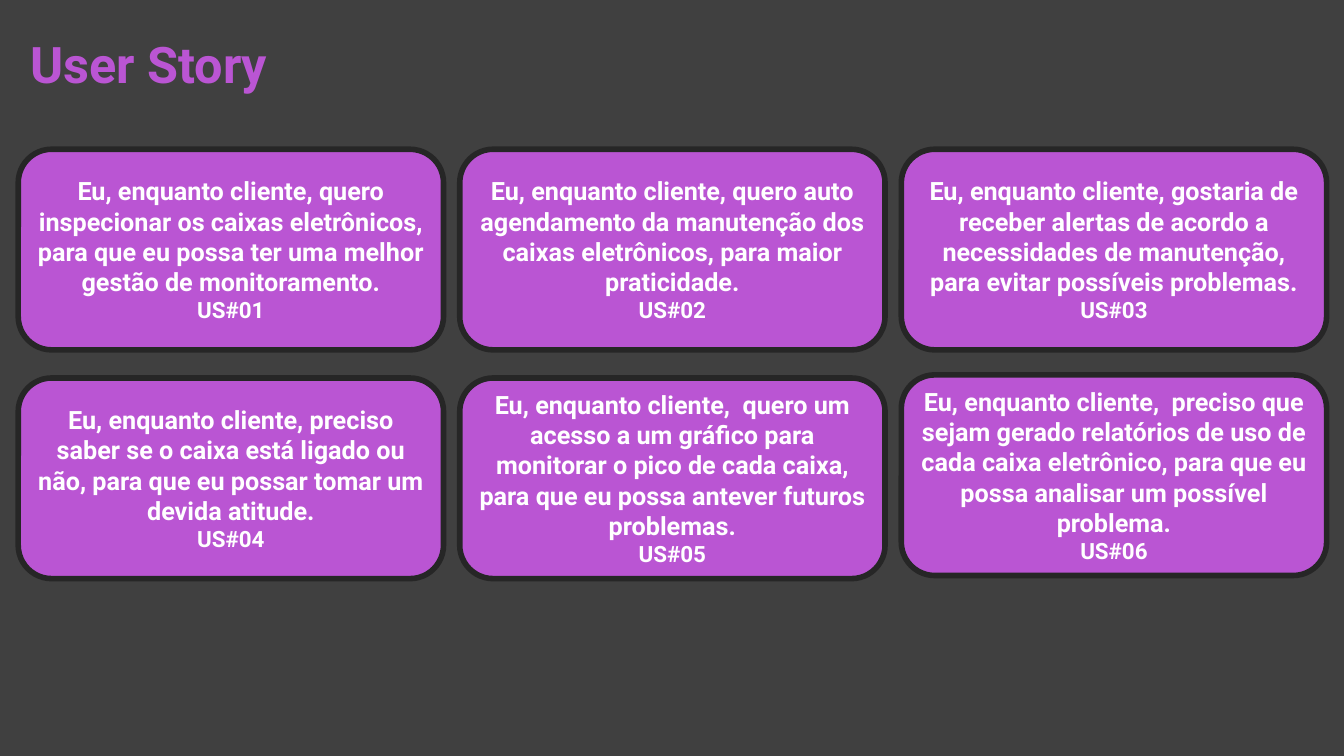
from pptx import Presentation
from pptx.dml.color import RGBColor
from pptx.enum.shapes import MSO_SHAPE
from pptx.enum.text import MSO_ANCHOR, MSO_AUTO_SIZE, PP_ALIGN
from pptx.util import Pt

ROUNDED = MSO_SHAPE.ROUNDED_RECTANGLE
TOP, MIDDLE = MSO_ANCHOR.TOP, MSO_ANCHOR.MIDDLE
LEFT, CENTER = PP_ALIGN.LEFT, PP_ALIGN.CENTER
NO_AUTOFIT = MSO_AUTO_SIZE.NONE
TITLE_ONLY = 5

STORIES = [
    "Eu, enquanto cliente, quero inspecionar os caixas eletrônicos, para que eu possa ter uma melhor gestão de monitoramento.",
    "Eu, enquanto cliente, quero auto agendamento da manutenção dos caixas eletrônicos, para maior praticidade.",
    "Eu, enquanto cliente, gostaria de receber alertas de acordo a necessidades de manutenção, para evitar possíveis problemas.",
    "Eu, enquanto cliente, preciso saber se o caixa está ligado ou não, para que eu possar tomar um devida atitude.",
    "Eu, enquanto cliente,  quero um acesso a um gráfico para monitorar o pico de cada caixa, para que eu possa antever futuros problemas.",
    "Eu, enquanto cliente,  preciso que sejam gerado relatórios de uso de cada caixa eletrônico, para que eu possa analisar um possível problema.",
]
COLUMNS = 3
CARD_LEFT, CARD_TOP = 13, 106.6
CARD_WIDTH, CARD_HEIGHT = 303.8, 143.3
COLUMN_STEP, ROW_STEP = 315.4, 163.4
LAST_CARD_LIFT = 2.2


def color(value):
    return RGBColor.from_string(value)


def write(paragraph, text, *, font, size, fill, bold=True, align=LEFT):
    paragraph.alignment = align
    run = paragraph.add_run()
    run.text = text
    run.font.name = font
    run.font.size = Pt(size)
    run.font.bold = bold
    run.font.color.rgb = color(fill)


class StorySlide:
    font = "Roboto"
    background = "404040"
    accent = "BA55D3"
    outline = "262626"
    light = "FFFFFF"

    def __init__(self, presentation):
        self.slide = presentation.slides.add_slide(presentation.slide_layouts[TITLE_ONLY])
        fill = self.slide.background.fill
        fill.solid()
        fill.fore_color.rgb = color(self.background)

    def title(self, text, left, top, width, height):
        shape = self.slide.shapes.title
        shape.left, shape.top = Pt(left), Pt(top)
        shape.width, shape.height = Pt(width), Pt(height)
        frame = shape.text_frame
        frame.auto_size = NO_AUTOFIT
        frame.word_wrap = True
        frame.vertical_anchor = TOP
        write(frame.paragraphs[0], text, font=self.font, size=36, fill=self.accent)

    def card(self, story, code, left, top):
        shape = self.slide.shapes.add_shape(
            ROUNDED, Pt(left), Pt(top), Pt(CARD_WIDTH), Pt(CARD_HEIGHT)
        )
        shape.shadow.inherit = False
        shape.fill.solid()
        shape.fill.fore_color.rgb = color(self.accent)
        shape.line.color.rgb = color(self.outline)
        shape.line.width = Pt(4)
        frame = shape.text_frame
        frame.word_wrap = True
        frame.vertical_anchor = MIDDLE
        style = {"font": self.font, "fill": self.light, "align": CENTER}
        write(frame.paragraphs[0], story, size=18, **style)
        write(frame.add_paragraph(), code, size=16, **style)


def main():
    presentation = Presentation()
    presentation.slide_width, presentation.slide_height = Pt(960), Pt(540)
    page = StorySlide(presentation)
    page.title("User Story", 14.4, 20.2, 362.2, 51.1)
    for index, story in enumerate(STORIES):
        row, column = divmod(index, COLUMNS)
        lift = LAST_CARD_LIFT if index == len(STORIES) - 1 else 0
        page.card(
            story,
            f"US#{index + 1:02d}",
            CARD_LEFT + column * COLUMN_STEP,
            CARD_TOP + row * ROW_STEP - lift,
        )
    presentation.save("out.pptx")


if __name__ == "__main__":
    main()
